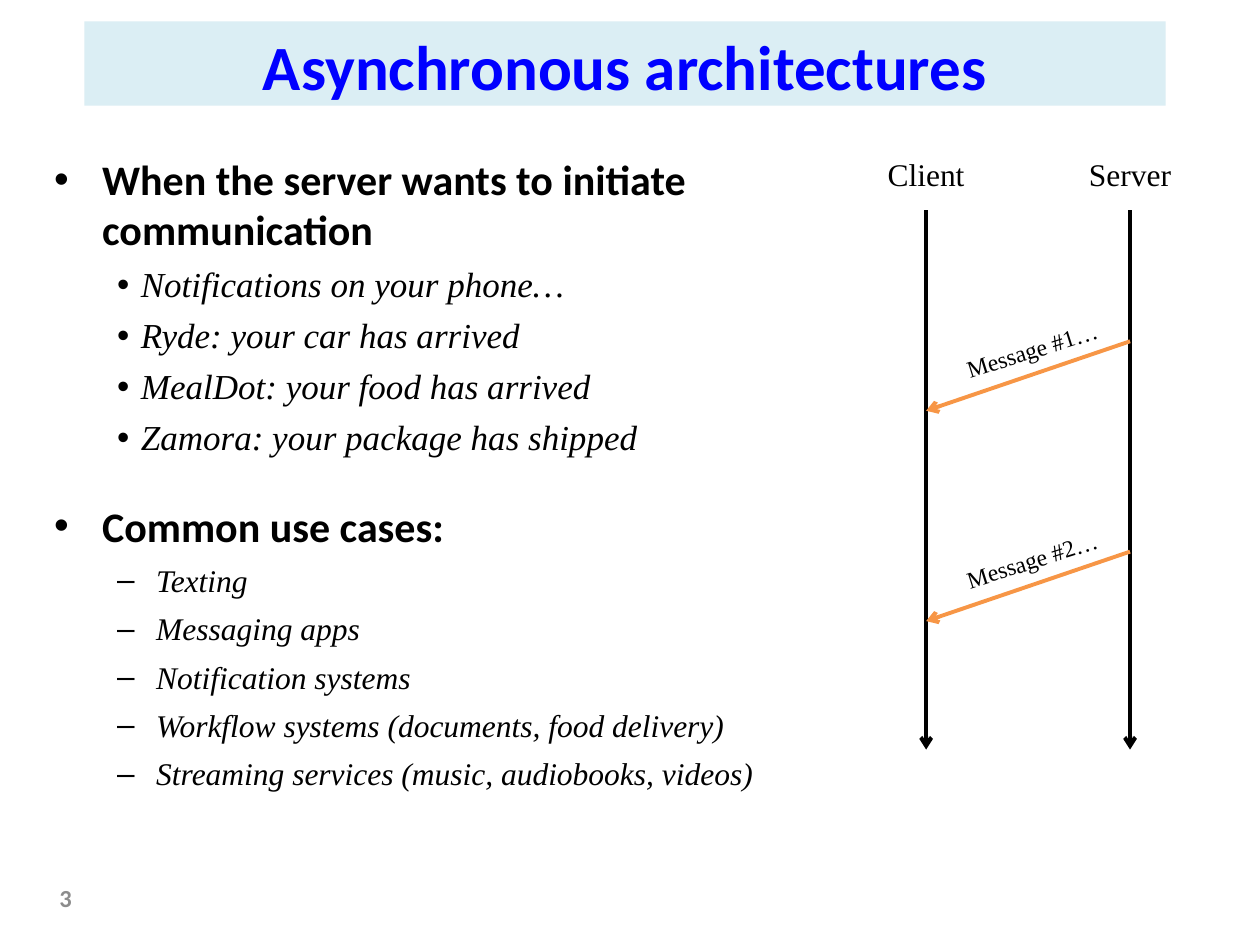
from lxml import etree
from pptx import Presentation
from pptx.dml.color import RGBColor
from pptx.enum.shapes import MSO_CONNECTOR
from pptx.enum.text import MSO_ANCHOR, MSO_AUTO_SIZE, PP_ALIGN
from pptx.oxml.ns import qn
from pptx.util import Cm, Pt

STRAIGHT = MSO_CONNECTOR.STRAIGHT
TOP, MIDDLE = MSO_ANCHOR.TOP, MSO_ANCHOR.MIDDLE
LEFT, CENTER, RIGHT = PP_ALIGN.LEFT, PP_ALIGN.CENTER, PP_ALIGN.RIGHT
NO_FIT = MSO_AUTO_SIZE.NONE
TITLE_ONLY = 5

SANS, SERIF = "Calibri", "Times New Roman"
BLACK, BLUE, PALE_BLUE = "000000", "0000FF", "DBEEF4"
ORANGE, GREY = "F79646", "8C8C8C"

CLIENT_X, SERVER_X = 18.67, 22.78
LIFELINE_TOP, LIFELINE_BOTTOM = 4.24, 15.11
MESSAGE_TOP, MESSAGE_STEP, MESSAGE_DROP = 6.88, 4.24, 1.4

# Format of each kind of paragraph in the body
HEADING = dict(size=24, bold=True, indent=0.97, hanging=0.97, bullet="•")
EXAMPLE = dict(size=20, font=SERIF, italic=True, level=1, indent=1.75,
               hanging=0.48, bullet="•", before=7.5, spacing=0.9)
USE_CASE = dict(size=18, font=SERIF, italic=True, level=1, indent=2.06,
                hanging=0.79, bullet="–", before=6)

SECTIONS = [
    ("When the server wants to initiate communication", EXAMPLE, [
        "Notifications on your phone…",
        "Ryde: your car has arrived",
        "MealDot: your food has arrived",
        "Zamora: your package has shipped",
    ]),
    ("Common use cases:", USE_CASE, [
        "Texting",
        "Messaging apps",
        "Notification systems",
        "Workflow systems (documents, food delivery)",
        "Streaming services (music, audiobooks, videos)",
    ]),
]


def color(value):
    return RGBColor.from_string(value)


def write(para, text, size=18, font=SANS, fill=BLACK, bold=False, italic=False,
          align=LEFT, level=0, before=0, spacing=None, bullet=None,
          indent=0, hanging=0):
    """Put formatted text into a paragraph."""
    para.alignment = align
    para.level = level
    para.space_before = Pt(before)
    if spacing:
        para.line_spacing = spacing
    if bullet:
        properties = para._p.get_or_add_pPr()
        properties.set("marL", str(Cm(indent)))
        properties.set("indent", str(-Cm(hanging)))
        etree.SubElement(properties, qn("a:buFont"), typeface="Arial")
        etree.SubElement(properties, qn("a:buChar"), char=bullet)
    span = para.add_run()
    span.text = text
    span.font.name = font
    span.font.size = Pt(size)
    span.font.bold = bold
    span.font.italic = italic
    span.font.color.rgb = color(fill)


def add_text_box(page, left, top, width, height, anchor=TOP):
    box = page.shapes.add_textbox(Cm(left), Cm(top), Cm(width), Cm(height))
    box.text_frame.word_wrap = True
    box.text_frame.vertical_anchor = anchor
    return box


def add_label(page, text, center_x, top, width, height, size, rotation=0):
    """Centre a diagram label on a given x position."""
    box = add_text_box(page, center_x - width / 2, top, width, height)
    box.rotation = rotation
    write(box.text_frame.paragraphs[0], text, size=size, font=SERIF, align=CENTER)


def add_arrow(page, start_x, start_y, end_x, end_y, stroke):
    arrow = page.shapes.add_connector(
        STRAIGHT, Cm(start_x), Cm(start_y), Cm(end_x), Cm(end_y))
    arrow.line.color.rgb = color(stroke)
    arrow.line.width = Pt(2.25)
    etree.SubElement(arrow.line._get_or_add_ln(), qn("a:tailEnd"), type="arrow")
    etree.SubElement(arrow._element.spPr, qn("a:effectLst"))


def add_title(page, text):
    title = page.shapes.title
    title.left, title.top, title.width, title.height = (
        Cm(1.7), Cm(0.43), Cm(21.8), Cm(1.7))
    title.fill.solid()
    title.fill.fore_color.rgb = color(PALE_BLUE)
    frame = title.text_frame
    frame.auto_size = NO_FIT
    frame.vertical_anchor = TOP
    write(frame.paragraphs[0], text, size=36, fill=BLUE, bold=True, align=CENTER)


def add_body(page):
    frame = add_text_box(page, 0.84, 2.97, 15.67, 13.54).text_frame
    for number, (heading, item_format, items) in enumerate(SECTIONS):
        para = frame.add_paragraph() if number else frame.paragraphs[0]
        write(para, heading, before=24 if number else 0, **HEADING)
        for item in items:
            write(frame.add_paragraph(), item, **item_format)


def add_sequence_diagram(page):
    # Lifelines
    for name, x in (("Client", CLIENT_X), ("Server", SERVER_X)):
        add_label(page, name, x, 3, 3, 1.02, size=18)
        add_arrow(page, x, LIFELINE_TOP, x, LIFELINE_BOTTOM, BLACK)

    # Messages from server to client
    for number in range(2):
        y = MESSAGE_TOP + number * MESSAGE_STEP
        add_arrow(page, SERVER_X, y, CLIENT_X, y + MESSAGE_DROP, ORANGE)
        add_label(page, f"Message #{number + 1}…", (CLIENT_X + SERVER_X) / 2 + 0.08,
                  y - 0.25, 3.45, 0.84, size=13.5, rotation=342.4)


def add_page_number(page, number):
    box = add_text_box(page, 0.43, 17.58, 1.27, 1.02, anchor=MIDDLE)
    write(box.text_frame.paragraphs[0], str(number), size=14, fill=GREY,
          bold=True, align=RIGHT)


def main():
    deck = Presentation()
    deck.slide_width, deck.slide_height = Cm(25.4), Cm(19.05)
    page = deck.slides.add_slide(deck.slide_layouts[TITLE_ONLY])
    add_title(page, "Asynchronous architectures")
    add_body(page)
    add_sequence_diagram(page)
    add_page_number(page, 3)
    deck.save("out.pptx")


if __name__ == "__main__":
    main()
